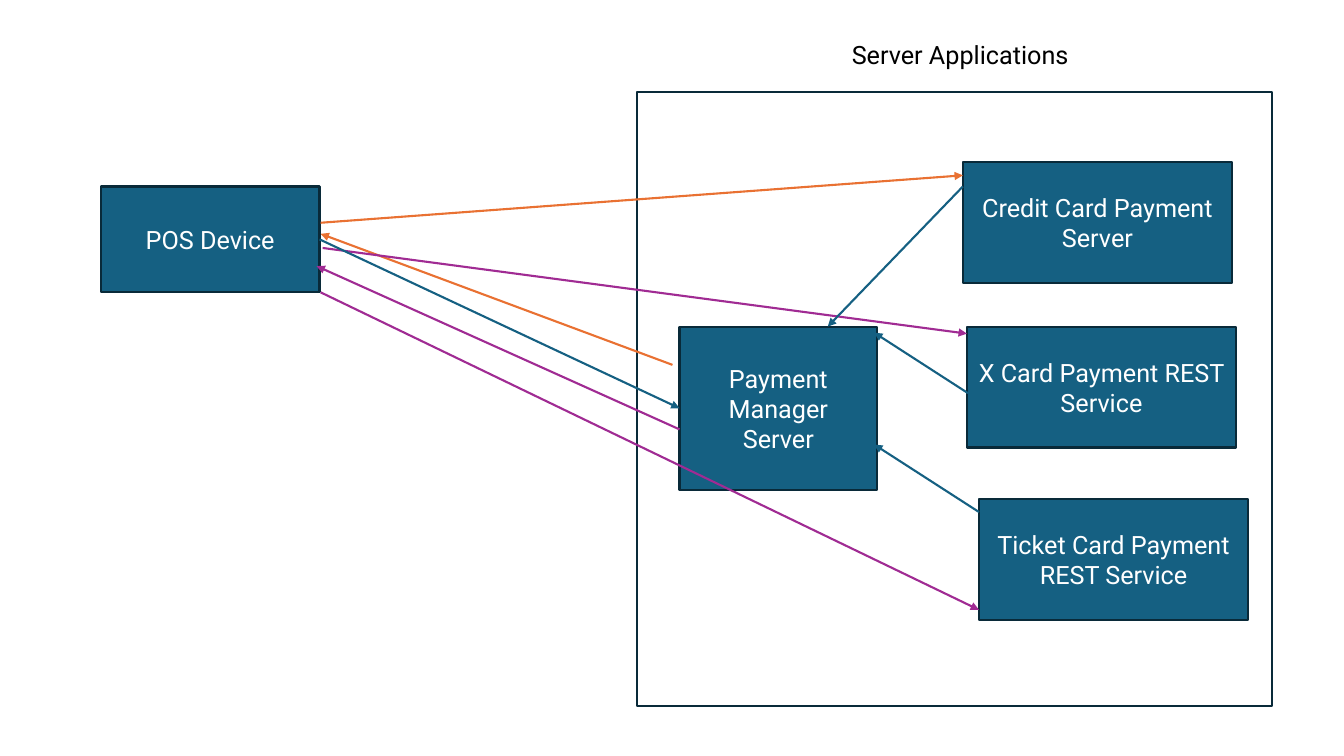
from pptx import Presentation
from pptx.dml.color import RGBColor
from pptx.enum import shapes as sh, text as tx
from pptx.oxml.ns import qn
from pptx.util import Inches, Pt
from lxml import etree

TEAL, DARK, ORANGE, PURPLE = "156082", "092A39", "E97132", "A02B93"
WHITE, BLACK = "FFFFFF", "000000"


def paint(color, value):
    color.rgb = RGBColor.from_string(value)


def write(frame, words, color, align):
    frame.word_wrap = True
    frame.text = words
    for para in frame.paragraphs:
        para.alignment = align
        for run in para.runs:
            run.font.name = "Roboto"
            run.font.size = Pt(18)
            paint(run.font.color, color)


def add_box(slide, box, words=None):
    rect = slide.shapes.add_shape(sh.MSO_SHAPE.RECTANGLE, *map(Inches, box))
    rect.shadow.inherit = False
    paint(rect.line.color, DARK) if rect.line.fill.solid() is None else None
    rect.line.width = Pt(1.5)
    if words is None:
        rect.fill.background()
        return rect
    rect.fill.solid()
    paint(rect.fill.fore_color, TEAL)
    rect.text_frame.vertical_anchor = tx.MSO_ANCHOR.MIDDLE
    write(rect.text_frame, words, WHITE, tx.PP_ALIGN.CENTER)
    return rect


def add_arrow(slide, start, end, color):
    line = slide.shapes.add_connector(
        sh.MSO_CONNECTOR.STRAIGHT, *map(Inches, start + end))
    line.line.width = Pt(1.5)
    paint(line.line.color, color)
    props = line.line._get_or_add_ln()
    etree.SubElement(props, qn("a:tailEnd"), type="triangle")
    etree.SubElement(line._element.spPr, qn("a:effectLst"))
    return line


def add_servers(slide, box):
    left, top, width, height = box
    add_box(slide, box)
    title = slide.shapes.add_textbox(
        *map(Inches, (left + 2.03, top - 0.57, 2.4, 0.4)))
    write(title.text_frame, "Server Applications", BLACK, tx.PP_ALIGN.LEFT)
    manager = add_box(slide, (left + 0.42, top + 2.33, 1.96, 1.62),
                      "Payment Manager\nServer")
    for x, y, words in (
        (3.23, 0.7, "Credit Card Payment Server"),
        (3.27, 2.33, "X Card Payment REST Service"),
        (3.39, 4.04, "Ticket Card Payment REST Service"),
    ):
        add_box(slide, (left + x, top + y, 2.67, 1.2), words)
    return manager


def add_flows(slide, device, manager):
    for start, end, color in (
        ((3.18, 2.21), (9.55, 1.74), ORANGE),
        ((6.67, 3.62), (3.18, 2.32), ORANGE),
        ((3.18, 2.9), (9.71, 6.05), PURPLE),
        ((6.74, 4.26), (3.14, 2.64), PURPLE),
        ((3.2, 2.46), (9.59, 3.31), PURPLE),
        ((9.55, 1.85), (8.21, 3.24), TEAL),
        ((9.71, 5.08), (8.67, 4.41), TEAL),
        ((9.6, 3.9), (8.67, 3.3), TEAL),
    ):
        add_arrow(slide, start, end, color)
    request = add_arrow(slide, (3.17, 2.37), (6.74, 4.05), TEAL)
    request.begin_connect(device, 3)
    request.end_connect(manager, 1)


def main():
    deck = Presentation()
    deck.slide_width, deck.slide_height = Inches(13.33), Inches(7.5)
    slide = deck.slides.add_slide(deck.slide_layouts[6])
    manager = add_servers(slide, (6.32, 0.91, 6.3, 6.09))
    device = add_box(slide, (1, 1.85, 2.17, 1.05), "POS Device")
    add_flows(slide, device, manager)
    deck.save("out.pptx")


if __name__ == "__main__":
    main()
